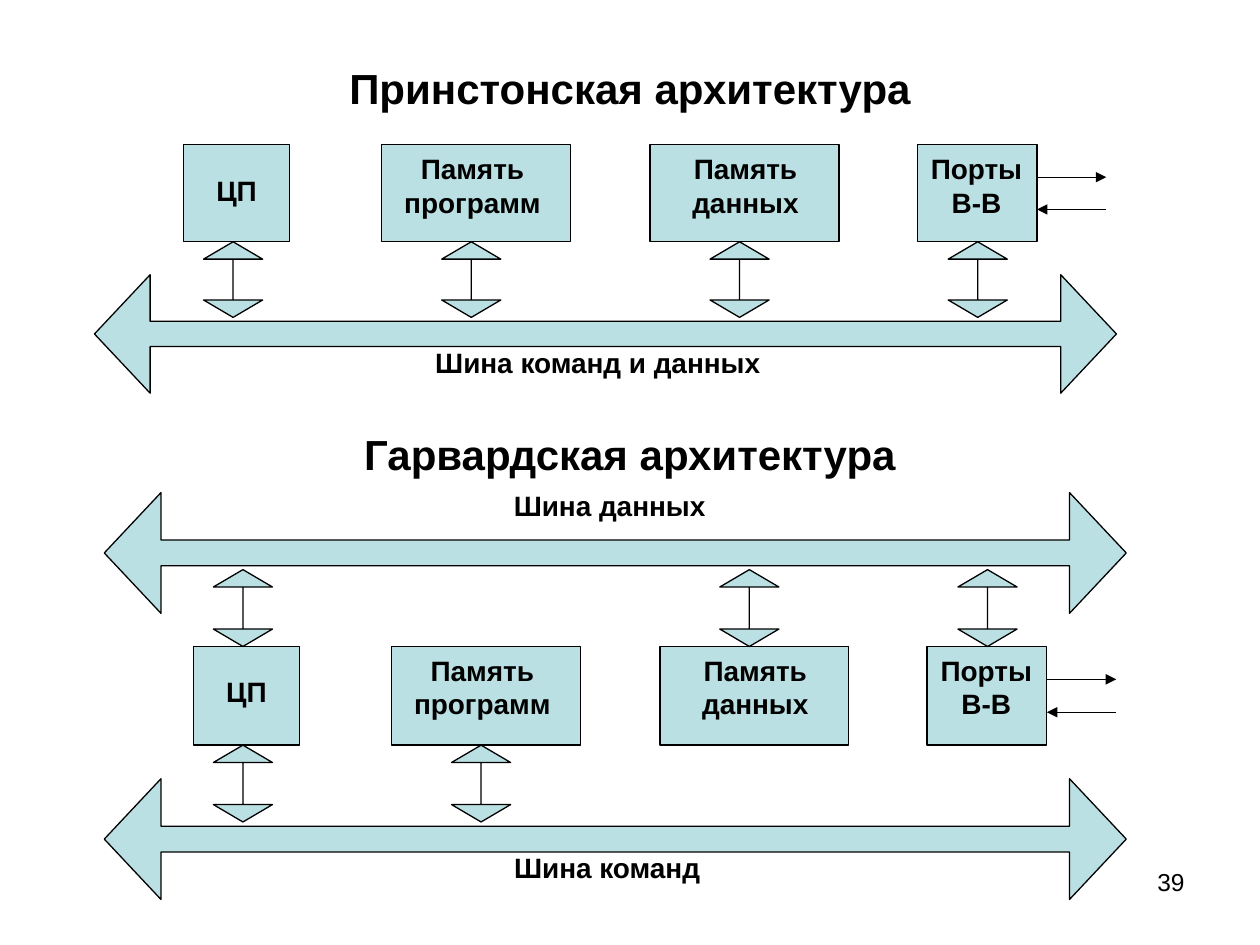
from dataclasses import dataclass

from pptx import Presentation
from pptx.dml.color import RGBColor
from pptx.enum.shapes import MSO_CONNECTOR, MSO_SHAPE
from pptx.enum.text import MSO_ANCHOR, MSO_AUTO_SIZE, PP_ALIGN
from pptx.oxml.ns import qn
from pptx.util import Pt

BLACK = RGBColor(0x00, 0x00, 0x00)
PALE_TEAL = RGBColor(0xBB, 0xE0, 0xE3)
FONT = "Arial"
BUS_WIDTH = 584
LINK_THICKNESS = 33.8
PORT_LINE_LENGTH = 39.6


@dataclass
class Component:
    """A block of the computer; horizontal places count from the bus's left end."""
    lines: tuple
    left: float
    width: float
    label_center: float
    label_width: float
    label_drop: float
    link_center: float


CPU = Component(("ЦП",), 51, 60.5, 81.2, 40, 12.8, 79.2)
PROGRAM = Component(("Память", "программ"), 164.2, 108, 216, 95, 0.3, 215.3)
DATA = Component(("Память", "данных"), 317.5, 108, 372, 78, 0.3, 368.6)
PORTS = Component(("Порты", "В-В"), 470.2, 68.4, 504, 70, 0.3, 504.7)
COMPONENTS = (CPU, PROGRAM, DATA, PORTS)


def format_paragraph(paragraph, size, bold=True, alignment=PP_ALIGN.CENTER):
    paragraph.alignment = alignment
    font = paragraph.font
    font.name, font.size, font.bold = FONT, Pt(size), bold
    font.color.rgb = BLACK


def add_headings(slide, headings, gap):
    body = slide.placeholders[1]
    body.left, body.top, body.width, body.height = Pt(36), Pt(32), Pt(648), Pt(508)
    frame = body.text_frame
    frame.auto_size = MSO_AUTO_SIZE.NONE
    frame.vertical_anchor = MSO_ANCHOR.TOP
    frame.text = "\n".join(headings)
    for index, paragraph in enumerate(frame.paragraphs):
        properties = paragraph._p.get_or_add_pPr()
        properties.append(properties.makeelement(qn("a:buNone"), {}))
        paragraph.space_before = Pt(gap if index else 0)
        format_paragraph(paragraph, 24)


def add_label(slide, lines, center, top, width):
    height = 7.2 + 19.4 * len(lines)
    box = slide.shapes.add_textbox(Pt(center - width / 2), Pt(top), Pt(width), Pt(height))
    frame = box.text_frame
    frame.word_wrap = False
    frame.auto_size = MSO_AUTO_SIZE.SHAPE_TO_FIT_TEXT
    frame.text = "\n".join(lines)
    for paragraph in frame.paragraphs:
        format_paragraph(paragraph, 16)


def add_filled_shape(slide, kind, left, top, width, height):
    shape = slide.shapes.add_shape(kind, Pt(left), Pt(top), Pt(width), Pt(height))
    shape.shadow.inherit = False
    shape.fill.solid()
    shape.fill.fore_color.rgb = PALE_TEAL
    shape.line.color.rgb = BLACK
    shape.line.width = Pt(0.75)
    return shape


def add_bus(slide, left, top, height):
    bus = add_filled_shape(slide, MSO_SHAPE.LEFT_RIGHT_ARROW, left, top, BUS_WIDTH, height)
    bus.adjustments[0] = 0.213
    bus.adjustments[1] = 0.47


def add_link(slide, center, top, length):
    """Vertical double arrow between a component and a bus."""
    link = add_filled_shape(
        slide, MSO_SHAPE.LEFT_RIGHT_ARROW, center - length / 2,
        top + (length - LINK_THICKNESS) / 2, length, LINK_THICKNESS)
    link.rotation = 90
    link.adjustments[0] = 0
    link.adjustments[1] = 0.294


def add_arrow(slide, start_x, end_x, y):
    arrow = slide.shapes.add_connector(
        MSO_CONNECTOR.STRAIGHT, Pt(start_x), Pt(y), Pt(end_x), Pt(y))
    arrow.line.color.rgb = BLACK
    arrow.line.width = Pt(0.75)
    line = arrow.line._get_or_add_ln()
    line.append(line.makeelement(qn("a:tailEnd"), {"type": "triangle"}))
    properties = arrow._element.spPr
    properties.append(properties.makeelement(qn("a:effectLst"), {}))


def add_components(slide, left, top, height):
    for component in COMPONENTS:
        add_filled_shape(slide, MSO_SHAPE.RECTANGLE, left + component.left, top,
                         component.width, height)
        add_label(slide, component.lines, left + component.label_center,
                  top + component.label_drop, component.label_width)
    # Output and input lines of the ports
    inner = left + PORTS.left + PORTS.width
    outer = inner + PORT_LINE_LENGTH
    add_arrow(slide, inner, outer, top + height / 3)
    add_arrow(slide, outer, inner, top + height * 2 / 3)


def add_links(slide, components, left, top, length):
    for component in components:
        add_link(slide, left + component.link_center, top, length)


def add_princeton(slide):
    left, top, height = 54, 82.8, 55.4
    add_bus(slide, left, 157, 67.7)
    add_components(slide, left, top, height)
    add_links(slide, COMPONENTS, left, top + height, 43.2)
    add_label(slide, ("Шина команд и данных",), left + 287.6, 193.7, 204)


def add_harvard(slide):
    left, top, height, link_length = 59.6, 369.4, 56.4, 43.9
    # Data bus above, command bus below
    for bus_top in (281.5, 445):
        add_bus(slide, left, bus_top, 69)
    add_components(slide, left, top, height)
    add_links(slide, (CPU, DATA, PORTS), left, top - link_length, link_length)
    add_links(slide, (CPU, PROGRAM), left, top + height, link_length)
    add_label(slide, ("Шина данных",), left + 288.8, 275.8, 127)
    add_label(slide, ("Шина команд",), left + 287.4, 482.4, 124)


def add_page_number(slide, number):
    box = slide.shapes.add_textbox(Pt(516.2), Pt(491.8), Pt(167.8), Pt(37.4))
    box.text_frame.word_wrap = True
    paragraph = box.text_frame.paragraphs[0]
    paragraph.text = number
    format_paragraph(paragraph, 14, bold=False, alignment=PP_ALIGN.RIGHT)


def main():
    presentation = Presentation()
    presentation.slide_width, presentation.slide_height = Pt(720), Pt(540)
    slide = presentation.slides.add_slide(presentation.slide_layouts[1])
    # Both headings share the body, so the title placeholder is not needed
    title = slide.shapes.title._element
    title.getparent().remove(title)

    add_headings(slide, ("Принстонская архитектура", "Гарвардская архитектура"), 180.5)
    add_princeton(slide)
    add_harvard(slide)
    add_page_number(slide, "39")
    presentation.save("out.pptx")


if __name__ == "__main__":
    main()
